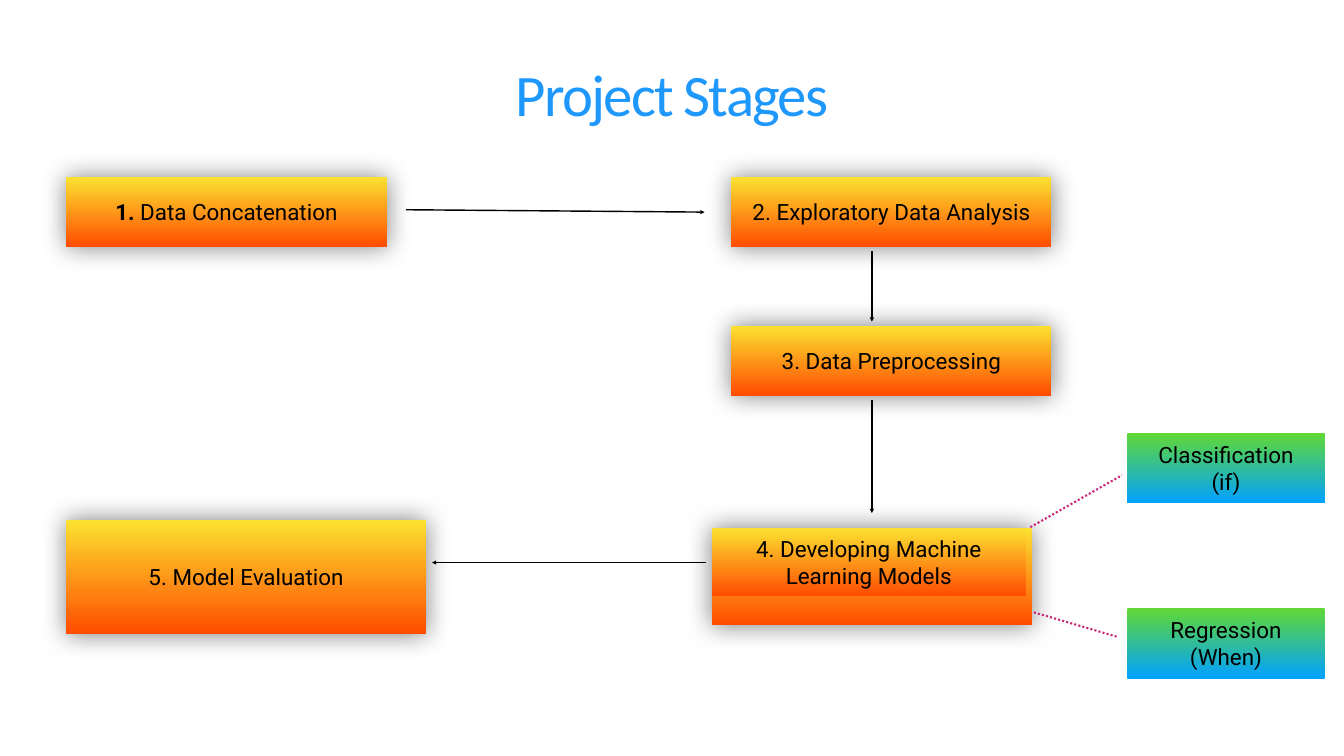
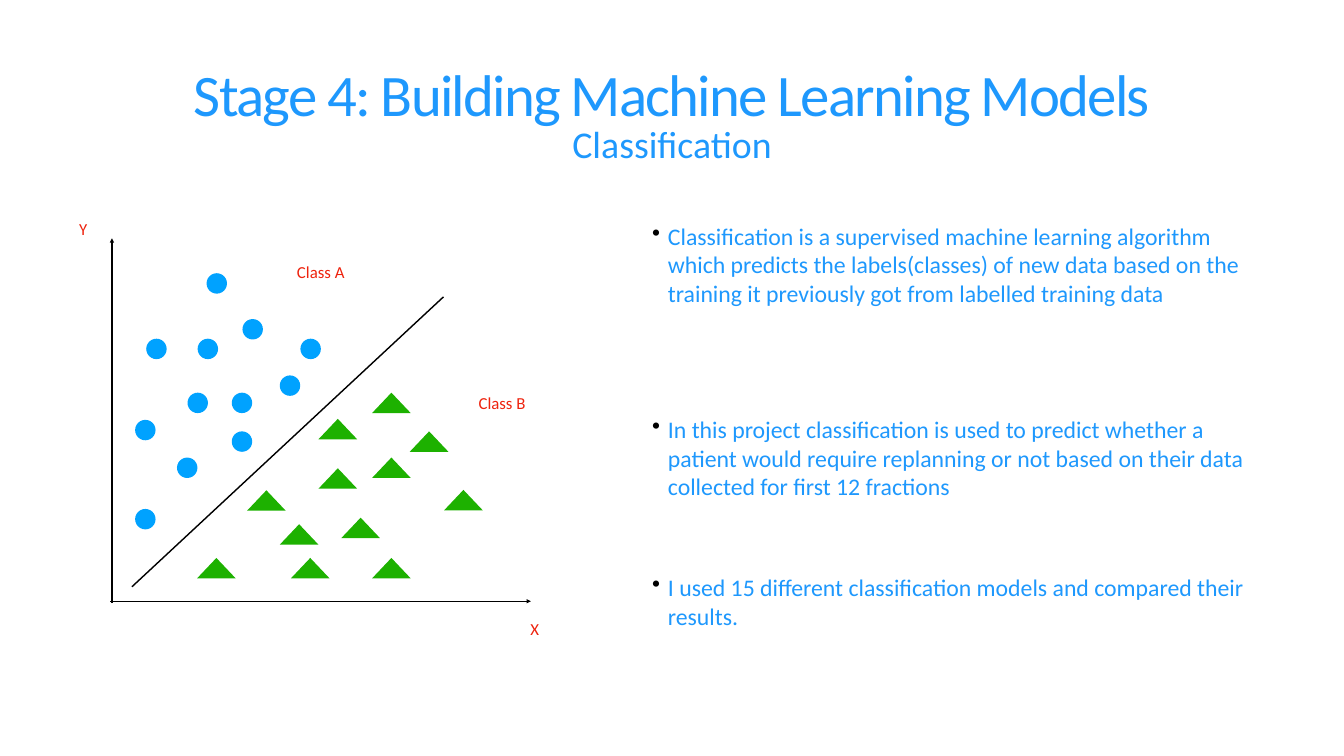
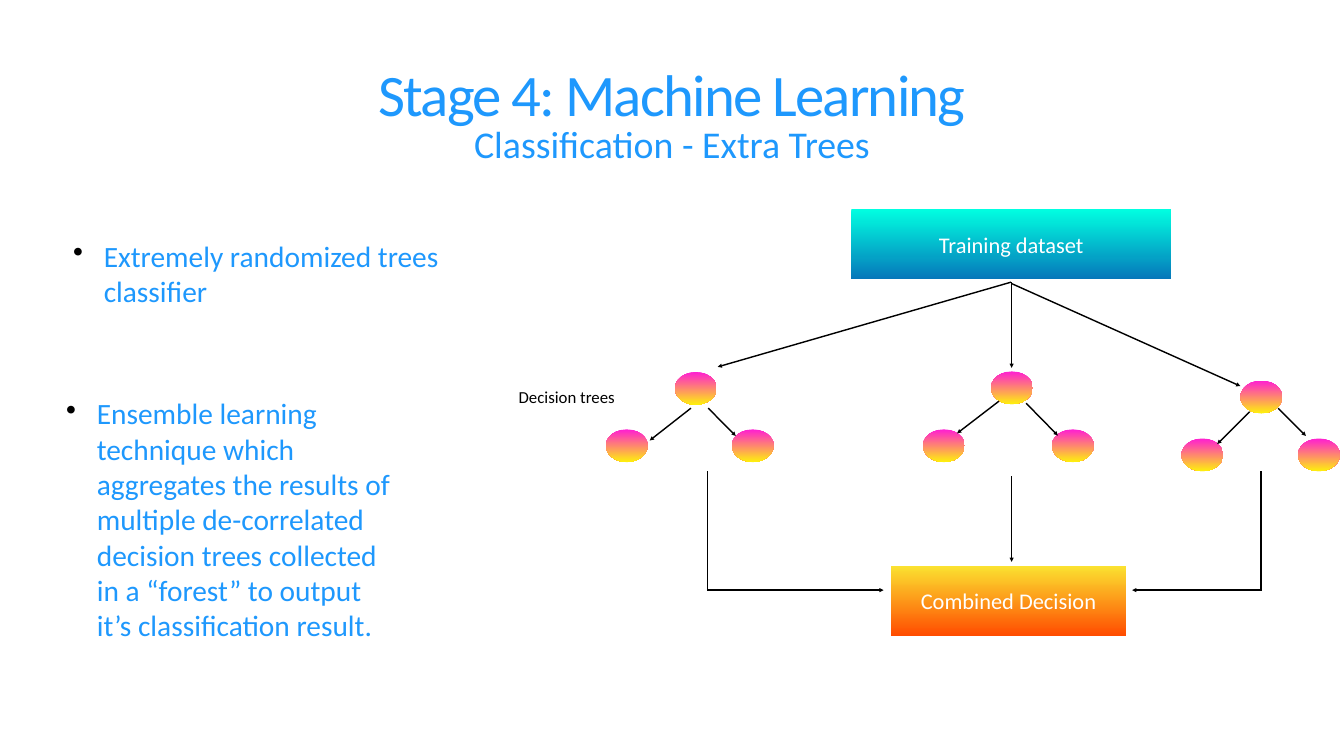
from dataclasses import dataclass

from lxml import etree
from pptx import Presentation
from pptx.dml.color import RGBColor
from pptx.enum.dml import MSO_LINE
from pptx.enum.shapes import MSO_CONNECTOR, MSO_SHAPE
from pptx.enum.text import MSO_ANCHOR, PP_ALIGN
from pptx.oxml.ns import qn
from pptx.util import Cm, Pt

RECT, OVAL, TRIANGLE = MSO_SHAPE.RECTANGLE, MSO_SHAPE.OVAL, MSO_SHAPE.ISOSCELES_TRIANGLE
STRAIGHT, DOTTED = MSO_CONNECTOR.STRAIGHT, MSO_LINE.ROUND_DOT
LEFT, CENTER = PP_ALIGN.LEFT, PP_ALIGN.CENTER
TOP, MIDDLE, BOTTOM = MSO_ANCHOR.TOP, MSO_ANCHOR.MIDDLE, MSO_ANCHOR.BOTTOM


@dataclass(frozen=True)
class Theme:
    font: str = "Calibri"
    stage_font: str = "Roboto"
    text: str = "1E98FD"
    black: str = "000000"
    white: str = "FFFFFF"
    label: str = "EE220D"
    dotted: str = "CB297B"
    class_a: str = "00A2FF"
    class_b: str = "1DB100"
    fire: tuple = ("FBE231", "FF4C00")
    meadow: tuple = ("61D835", "02A1FF")
    lagoon: tuple = ("01FFE1", "0677BA")
    sunset: tuple = ("FE1ED2", "FEF00D")
    title_size: int = 84
    subtitle_size: int = 54
    large_size: int = 42
    body_size: int = 34
    box_size: int = 32
    label_size: int = 24


T = Theme()

# All positions and lengths below are in centimetres.
SLIDE_SIZE = (67.73, 38.1)
TITLE_AT = (3.53, 2.26, 60.68, 4.32)
SUBTITLE_AT = (3.53, 5.92, 60.68, 2.82)
INSET = 0.15
BOX_W, BOX_H = 16.13, 3.53

# Slide 1
STAGES = [  # text, place, has shadow
    ("1. Data Concatenation", (3.35, 8.92, BOX_W, BOX_H), True),
    ("2. Exploratory Data Analysis", (36.86, 8.92, BOX_W, BOX_H), True),
    ("", (35.86, 26.59, BOX_W, 4.93), True),
    ("4. Developing Machine Learning Models", (35.86, 26.59, 15.85, 3.45), False),
    ("5. Model Evaluation", (3.35, 26.19, 18.11, 5.77), True),
    ("3. Data Preprocessing", (36.86, 16.41, BOX_W, BOX_H), True),
]
MODEL_KINDS = [
    ("Classification\n(if)", (56.82, 21.82, 9.93, BOX_H)),
    ("Regression\n(When)", (56.82, 30.66, 9.93, BOX_H)),
]
STAGE_ARROWS = [
    (20.45, 10.57, 35.51, 10.69),
    (43.94, 12.67, 43.94, 16.21),
    (43.94, 20.14, 43.94, 25.86),
    (35.56, 28.35, 21.77, 28.35),
]
KIND_LINKS = [(51.92, 26.57, 56.54, 23.95), (52.1, 30.86, 56.36, 32.11)]

# Slide 2
CLASSIFICATION_NOTES = [  # text, top, height, anchor
    ("Classification is a supervised machine learning algorithm which predicts the "
     "labels(classes) of new data based on the training it previously got from "
     "labelled training data", 11.02, 6.48, TOP),
    ("In this project classification is used to predict whether a patient would "
     "require replanning or not based on their data collected for first 12 fractions",
     20.6, 4.93, MIDDLE),
    ("I used 15 different classification models and compared their results.",
     28.63, 3.38, MIDDLE),
]
AXES = [(5.64, 30.4, 5.64, 12.01), (5.56, 30.3, 26.75, 30.3)]
BOUNDARY = (6.65, 29.57, 22.35, 14.96)
PLOT_LABELS = [
    ("Class A", (13.69, 13.03, 4.95, 1.37)),
    ("Class B", (23.19, 19.61, 4.22, 1.37)),
    ("X", (26.52, 31.01, 0.86, 1.37)),
    ("Y", (3.35, 10.87, 1.68, 1.37)),
]
MARKERS = [  # shape, fill, size, top left corners
    (OVAL, T.class_a, (1.03, 1.03), [
        (10.41, 13.77), (12.22, 16.08), (15.14, 17.07), (9.96, 17.07),
        (7.37, 17.07), (6.81, 21.16), (9.45, 19.79), (11.68, 19.79),
        (14.1, 18.92), (11.68, 21.74), (8.92, 23.06), (6.81, 25.65)]),
    (TRIANGLE, T.class_b, (1.95, 1.03), [
        (18.75, 19.79), (20.65, 21.74), (22.38, 24.69), (18.75, 23.06),
        (16.05, 23.6), (12.45, 24.71), (14.1, 26.42), (18.75, 28.12),
        (9.93, 28.12), (17.2, 26.09), (14.66, 28.12), (16.05, 21.11)]),
]

# Slide 3
TREE_NOTES = [  # text, place, anchor
    ("Extremely randomized trees classifier", (3.53, 11.86, 19.61, 4.78), TOP),
    ("Ensemble learning technique which aggregates the results of multiple "
     "de-correlated decision trees collected in a “forest” to output it’s "
     "classification result.", (3.18, 18.26, 17.02, 15.8), MIDDLE),
]
FOREST_BOXES = [
    ("Training dataset", (42.9, 10.54, BOX_W, BOX_H), T.lagoon),
    ("Combined Decision", (44.88, 28.52, 11.89, BOX_H), T.fire),
]
NODE_SIZE = (2.11, 1.65)
TREES = [  # root, left leaf, right leaf, then the two branches
    ([(34.01, 18.75), (30.53, 21.64), (36.88, 21.64)],
     [(34.82, 20.57, 32.74, 22.2), (35.69, 20.57, 37.08, 21.97)]),
    ([(49.94, 18.72), (46.51, 21.64), (53.01, 21.64)],
     [(50.34, 20.22, 48.23, 21.84), (51.71, 20.32, 53.31, 21.95)]),
    ([(62.51, 19.18), (59.54, 22.1), (65.41, 22.1)],
     [(62.97, 20.75, 61.34, 22.38), (64.41, 20.57, 65.81, 21.97)]),
]
FOREST_ARROWS = [
    (50.95, 14.22, 36.17, 18.49),
    (50.98, 14.22, 50.98, 18.54),
    (51, 14.3, 62.51, 19.46),
    (35.66, 29.74, 44.53, 29.74),
    (50.98, 24, 50.98, 28.32),
    (63.5, 29.74, 57.05, 29.74),
]
FOREST_LINES = [(35.64, 29.77, 35.64, 23.75), (63.55, 29.77, 63.55, 23.75)]
TREES_LABEL = ("Decision trees", (25.6, 19.3, 5.92, 1.37))


def cms(values):
    return [Cm(v) for v in values]


def style_text(tf, text, size, color, font=T.font, align=CENTER, anchor=MIDDLE, wrap=True):
    tf.text = text
    tf.word_wrap = wrap
    tf.vertical_anchor = anchor
    tf.margin_left = tf.margin_right = tf.margin_top = tf.margin_bottom = Cm(INSET)
    for p in tf.paragraphs:
        p.alignment = align
        for r in p.runs:
            r.font.name = font
            r.font.size = Pt(size)
            r.font.color.rgb = RGBColor.from_string(color)


def add_text(s, text, at, size, color, **options):
    tf = s.shapes.add_textbox(*cms(at)).text_frame
    style_text(tf, text, size, color, **options)
    return tf


def add_bullet(s, text, at, size, indent, anchor, before=0):
    tf = add_text(s, text, at, size, T.text, align=LEFT, anchor=anchor)
    p = tf.paragraphs[0]
    p.space_before = Pt(before)
    pPr = p._p.get_or_add_pPr()
    pPr.set("marL", str(Cm(indent)))
    pPr.set("indent", str(-Cm(indent)))
    color = etree.SubElement(pPr, qn("a:buClr"))
    etree.SubElement(color, qn("a:srgbClr"), val=T.black)
    etree.SubElement(pPr, qn("a:buChar"), char="•")


def add_filled(s, kind, at, fill):
    """Add an unlined shape; fill is one colour or a (top, bottom) gradient."""
    sp = s.shapes.add_shape(kind, *cms(at))
    sp.shadow.inherit = False
    sp.line.fill.background()
    if isinstance(fill, str):
        sp.fill.solid()
        sp.fill.fore_color.rgb = RGBColor.from_string(fill)
    else:
        sp.fill.gradient()
        sp.fill.gradient_angle = 270
        for stop, color in zip(sp.fill.gradient_stops, fill):
            stop.color.rgb = RGBColor.from_string(color)
    return sp


def add_glow(sp):
    """Give the shape a soft shadow on every side."""
    effects = sp._element.spPr.find(qn("a:effectLst"))
    shadow = etree.SubElement(effects, qn("a:outerShdw"), blurRad=str(Pt(37)),
                              dist="0", dir="5400000", rotWithShape="0")
    color = etree.SubElement(shadow, qn("a:srgbClr"), val=T.black)
    etree.SubElement(color, qn("a:alpha"), val="50000")


def add_line(s, ends, arrow=False, color=T.black, width=2, dash=None):
    line = s.shapes.add_connector(STRAIGHT, *cms(ends))
    line.line.color.rgb = RGBColor.from_string(color)
    line.line.width = Pt(width)
    if dash:
        line.line.dash_style = dash
    if arrow:
        etree.SubElement(line.line._get_or_add_ln(), qn("a:tailEnd"), type="triangle")
    etree.SubElement(line._element.spPr, qn("a:effectLst"))


def add_slide(prs, title, subtitle=None):
    s = prs.slides.add_slide(prs.slide_layouts[6])
    p = add_text(s, title, TITLE_AT, T.title_size, T.text, anchor=BOTTOM).paragraphs[0]
    p.line_spacing = 0.8
    p.runs[0].font._element.set("spc", "-252")
    if subtitle:
        add_text(s, subtitle, SUBTITLE_AT, T.subtitle_size, T.text, anchor=TOP)
    return s


def build_stages(prs):
    s = add_slide(prs, "Project Stages")
    boxes = [(text, at, T.fire, glow) for text, at, glow in STAGES]
    boxes += [(text, at, T.meadow, False) for text, at in MODEL_KINDS]
    for text, at, fill, glow in boxes:
        sp = add_filled(s, RECT, at, fill)
        if glow:
            add_glow(sp)
        if text:
            style_text(sp.text_frame, text, T.box_size, T.black, font=T.stage_font)
        if text.startswith("1."):
            embolden_number(sp.text_frame.paragraphs[0])
    for ends in STAGE_ARROWS:
        add_line(s, ends, arrow=True)
    for ends in KIND_LINKS:
        add_line(s, ends, color=T.dotted, width=3, dash=DOTTED)


def embolden_number(p):
    number = p.runs[0]
    head, tail = number.text.split(" ", 1)
    rest = p.add_run()
    rest.text = " " + tail
    rest.font.name, rest.font.size = number.font.name, number.font.size
    rest.font.color.rgb = number.font.color.rgb
    number.text = head
    number.font.bold = True


def build_classification(prs):
    s = add_slide(prs, "Stage 4: Building Machine Learning Models", "Classification")
    for ends in AXES:
        add_line(s, ends, arrow=True)
    add_line(s, BOUNDARY)
    for kind, fill, size, corners in MARKERS:
        for corner in corners:
            add_filled(s, kind, corner + size, fill)
    for text, at in PLOT_LABELS:
        add_text(s, text, at, T.label_size, T.label, wrap=text != "X")
    for text, top, height, anchor in CLASSIFICATION_NOTES:
        add_bullet(s, text, (32.72, top, 30.66, height), T.body_size, 0.79, anchor)


def build_extra_trees(prs):
    s = add_slide(prs, "Stage 4: Machine Learning", "Classification - Extra Trees")
    for text, at, anchor in TREE_NOTES:
        add_bullet(s, text, at, T.large_size, 1.55, anchor, before=24)
    for text, at, fill in FOREST_BOXES:
        sp = add_filled(s, RECT, at, fill)
        style_text(sp.text_frame, text, T.box_size, T.white)
    for nodes, branches in TREES:
        for corner in nodes:
            add_filled(s, OVAL, corner + NODE_SIZE, T.sunset)
        for ends in branches:
            add_line(s, ends, arrow=True)
    for ends in FOREST_ARROWS:
        add_line(s, ends, arrow=True)
    for ends in FOREST_LINES:
        add_line(s, ends)
    add_text(s, *TREES_LABEL, T.label_size, T.black, wrap=False)


def main():
    prs = Presentation()
    prs.slide_width, prs.slide_height = cms(SLIDE_SIZE)
    build_stages(prs)
    build_classification(prs)
    build_extra_trees(prs)
    prs.save("out.pptx")


if __name__ == "__main__":
    main()
